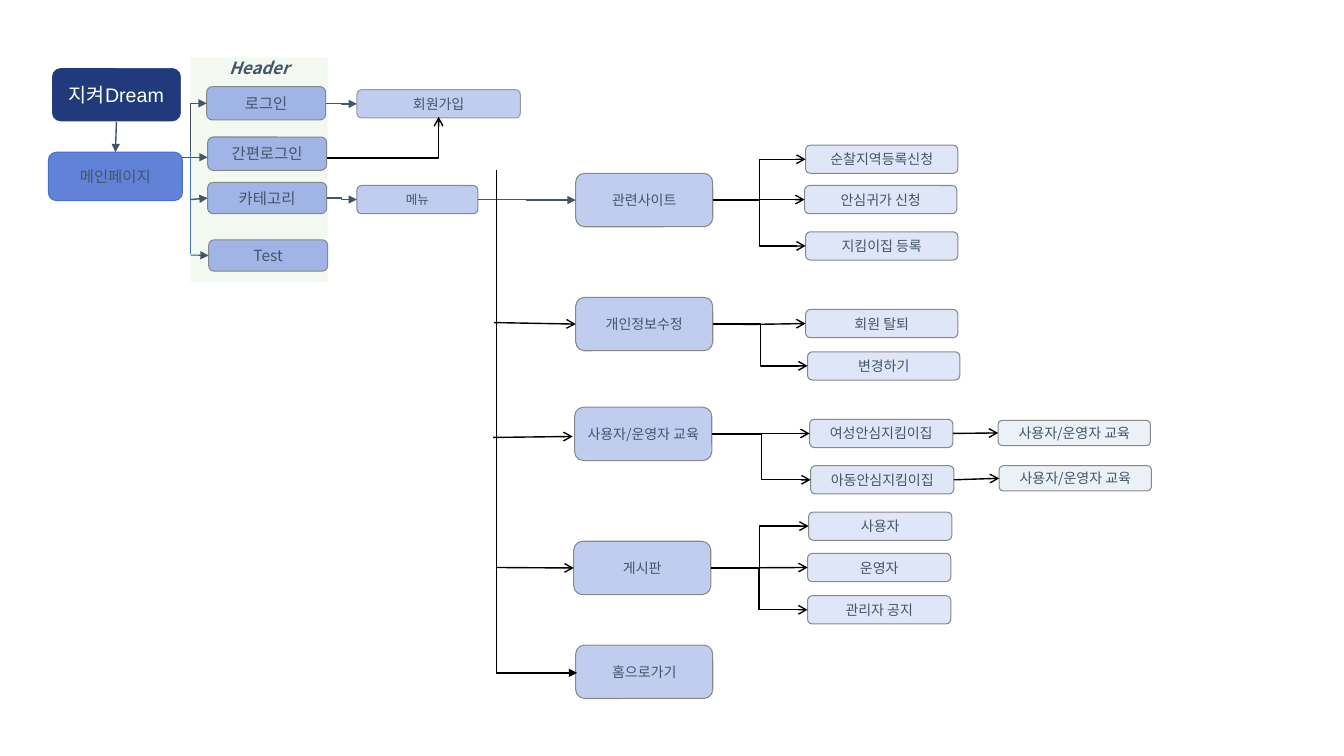
from dataclasses import dataclass
from typing import Optional, Union

from lxml import etree
from pptx import Presentation, util as u
from pptx.dml.color import RGBColor
from pptx.enum import shapes, text
from pptx.oxml import ns


@dataclass(frozen=True)
class Theme:
    korean: str = "Noto Sans CJK KR"
    latin: str = "Arial"
    slate: str = "44546A"
    blue: str = "4472C4"
    black: str = "000000"
    white: str = "FFFFFF"
    gray: str = "888888"
    panel: str = "C5E0B4"
    panel_size: int = 12


THEME = Theme()


@dataclass(frozen=True)
class Tier:
    """Shared look of all boxes on one level of the site map."""
    fill: str
    size: int
    width: float
    height: float
    line: str = THEME.gray
    color: str = THEME.slate
    font: str = THEME.korean


TITLE = Tier("203A7B", 14, 1.29, 0.54, THEME.white, THEME.white, THEME.latin)
MAIN = Tier("6182D6", 11, 1.33, 0.48, THEME.blue)
HEADER = Tier("A0B4E6", 11, 1.18, 0.31)
SIGN_UP = Tier("C0CDEF", 10, 1.62, 0.28, "999999")
MENU = Tier("C0CDEF", 9, 1.2, 0.28)
SECTION = Tier("C0CDEF", 10, 1.36, 0.53)
PAGE = Tier("DFE6F7", 10, 1.51, 0.28)
SHORT_PAGE = Tier("DFE6F7", 10, 1.42, 0.28)
COURSE = Tier("ECF1F8", 10, 1.51, 0.25)


@dataclass(frozen=True)
class Node:
    key: str
    label: str
    tier: Tier
    left: float
    top: float
    height: Optional[float] = None


End = Union[str, tuple[float, float]]


@dataclass(frozen=True)
class Link:
    """A line between two ends; each end is a node key or a free point."""
    start: End
    end: End
    elbow: bool = False
    color: str = THEME.black
    head: Optional[str] = "arrow"
    width: float = 1
    start_side: int = 3
    end_side: int = 1


NODES = [
    Node("login", "로그인", HEADER, 2.05, 0.86, 0.33),
    Node("quick", "간편로그인", HEADER, 2.06, 1.36, 0.33),
    Node("category", "카테고리", HEADER, 2.06, 1.81),
    Node("test", "Test", HEADER, 2.07, 2.38),
    Node("sign up", "회원가입", SIGN_UP, 3.54, 0.89),
    Node("menu", "메뉴", MENU, 3.54, 1.84),
    Node("sites", "관련사이트", SECTION, 5.71, 1.72),
    Node("profile", "개인정보수정", SECTION, 5.71, 2.95),
    Node("education", "사용자/운영자 교육", SECTION, 5.7, 4.04),
    Node("board", "게시판", SECTION, 5.69, 5.37),
    Node("home", "홈으로가기", SECTION, 5.71, 6.4),
    Node("patrol", "순찰지역등록신청", PAGE, 7.99, 1.44),
    Node("escort", "안심귀가 신청", PAGE, 7.98, 1.84),
    Node("keeper", "지킴이집 등록", PAGE, 7.99, 2.3),
    Node("leave", "회원 탈퇴", PAGE, 7.99, 3.07),
    Node("change", "변경하기", PAGE, 8.01, 3.49),
    Node("women", "여성안심지킴이집", SHORT_PAGE, 8.03, 4.16),
    Node("children", "아동안심지킴이집", SHORT_PAGE, 8.04, 4.62),
    Node("user", "사용자", SHORT_PAGE, 8.02, 5.08),
    Node("operator", "운영자", SHORT_PAGE, 8.01, 5.49),
    Node("notice", "관리자 공지", SHORT_PAGE, 8.01, 5.91),
    Node("women course", "사용자/운영자 교육", COURSE, 9.9, 4.17),
    Node("children course", "사용자/운영자 교육", COURSE, 9.91, 4.62),
]
ROOT_NODES = [
    Node("main", "메인페이지", MAIN, 0.48, 1.51),
    Node("title", "지켜Dream", TITLE, 0.51, 0.67),
]
LINKS = [
    Link((1.73, 1.56), "login", True, THEME.slate, "triangle"),
    Link((1.89, 1.51), (1.89, 2.52), False, THEME.blue, None),
    Link((1.89, 1.56), (2.06, 1.56), False, THEME.slate, "triangle", 0.75),
    Link((1.89, 1.98), "category", False, THEME.slate, "triangle"),
    Link((1.89, 2.53), "test", False, THEME.slate, "triangle", 0.75),
    Link("login", "sign up", True, THEME.slate, "triangle"),
    Link("category", "menu", True, THEME.slate, "triangle"),
    Link("menu", "sites", True, THEME.slate, "triangle"),
    Link((4.9, 3.2), "profile"),
    Link((4.89, 4.34), (5.68, 4.33)),
    Link((4.93, 5.63), "board"),
    Link("sites", "patrol", True),
    Link("sites", "escort", True),
    Link("sites", "keeper", True),
    Link((7.37, 3.22), "leave"),
    Link("profile", "change", True),
    Link((7.55, 4.3), "women"),
    Link("education", "children", True),
    Link("board", "user", True),
    Link("board", "operator"),
    Link("board", "notice", True),
    Link("women", "women course"),
    Link("children", "children course"),
]
ROOT_LINK = Link("title", "main", False, THEME.slate, "triangle", 1, 2, 0)
QUICK_LINK = Link((3.24, 1.57), (4.35, 1.16), True)
TRUNK = Link((7.82, 3.78), (2.83, 4.58), True, head="triangle")


def rgb(value: str) -> RGBColor:
    return RGBColor.from_string(value)


def style_text(para, size: int, color: str, font: str) -> None:
    para.alignment = text.PP_ALIGN.CENTER
    para.font.size = u.Pt(size)
    para.font.color.rgb = rgb(color)
    para.font.name = font
    latin = para._p.find(".//" + ns.qn("a:latin"))
    east_asian = etree.Element(ns.qn("a:ea"), typeface=THEME.korean)
    latin.addnext(east_asian)


def draw_panel(page) -> None:
    panel = page.shapes.add_shape(shapes.MSO_SHAPE.RECTANGLE, u.Inches(1.89), u.Inches(0.57),
                                  u.Inches(1.36), u.Inches(2.23))
    panel.shadow.inherit = False
    panel.line.fill.background()
    panel.fill.solid()
    panel.fill.fore_color.rgb = rgb(THEME.panel)
    tint = panel._element.spPr.find(".//" + ns.qn("a:srgbClr"))
    etree.SubElement(tint, ns.qn("a:alpha"), val="20000")
    frame = panel.text_frame
    frame.word_wrap = True
    frame.vertical_anchor = text.MSO_ANCHOR.TOP
    frame.margin_top = 0
    para = frame.paragraphs[0]
    para.text = "Header"
    style_text(para, THEME.panel_size, THEME.slate, THEME.korean)
    para.font.bold = para.font.italic = True


def draw_node(page, node: Node):
    tier = node.tier
    box = page.shapes.add_shape(shapes.MSO_SHAPE.ROUNDED_RECTANGLE, u.Inches(node.left), u.Inches(node.top),
                                u.Inches(tier.width), u.Inches(node.height or tier.height))
    box.shadow.inherit = False
    box.fill.solid()
    box.fill.fore_color.rgb = rgb(tier.fill)
    box.line.color.rgb = rgb(tier.line)
    box.line.width = u.Pt(0.75)
    frame = box.text_frame
    frame.word_wrap = True
    frame.vertical_anchor = text.MSO_ANCHOR.MIDDLE
    frame.margin_left = frame.margin_right = frame.margin_top = frame.margin_bottom = u.Inches(0.1)
    para = frame.paragraphs[0]
    para.text = node.label
    style_text(para, tier.size, tier.color, tier.font)
    return box


def draw_link(page, boxes: dict, link: Link):
    kind = shapes.MSO_CONNECTOR.ELBOW if link.elbow else shapes.MSO_CONNECTOR.STRAIGHT
    points = [(0, 0) if isinstance(end, str) else end for end in (link.start, link.end)]
    line = page.shapes.add_connector(kind, *(u.Inches(value) for point in points for value in point))
    if isinstance(link.start, str):
        line.begin_connect(boxes[link.start], link.start_side)
    if isinstance(link.end, str):
        line.end_connect(boxes[link.end], link.end_side)
    line.line.color.rgb = rgb(link.color)
    line.line.width = u.Pt(link.width)
    if link.head:
        etree.SubElement(line.line._get_or_add_ln(), ns.qn("a:tailEnd"), type=link.head)
    etree.SubElement(line._element.spPr, ns.qn("a:effectLst"))
    return line


def draw_corner(page, link: Link, turn: int = 0) -> None:
    """Draw a link with a single bend, turned clockwise by whole degrees."""
    properties = draw_link(page, {}, link)._element.spPr
    properties.find(ns.qn("a:prstGeom")).set("prst", "bentConnector2")
    if turn:
        properties.find(ns.qn("a:xfrm")).set("rot", str(turn * 60000))


def main() -> None:
    deck = Presentation()
    deck.slide_width, deck.slide_height = u.Inches(13.33), u.Inches(7.5)
    page = deck.slides.add_slide(deck.slide_layouts[6])
    draw_panel(page)
    boxes = {node.key: draw_node(page, node) for node in NODES}
    for link in LINKS:
        draw_link(page, boxes, link)
    draw_corner(page, QUICK_LINK)
    draw_corner(page, TRUNK, 270)
    boxes.update({node.key: draw_node(page, node) for node in ROOT_NODES})
    draw_link(page, boxes, ROOT_LINK)
    deck.save("out.pptx")


if __name__ == "__main__":
    main()
